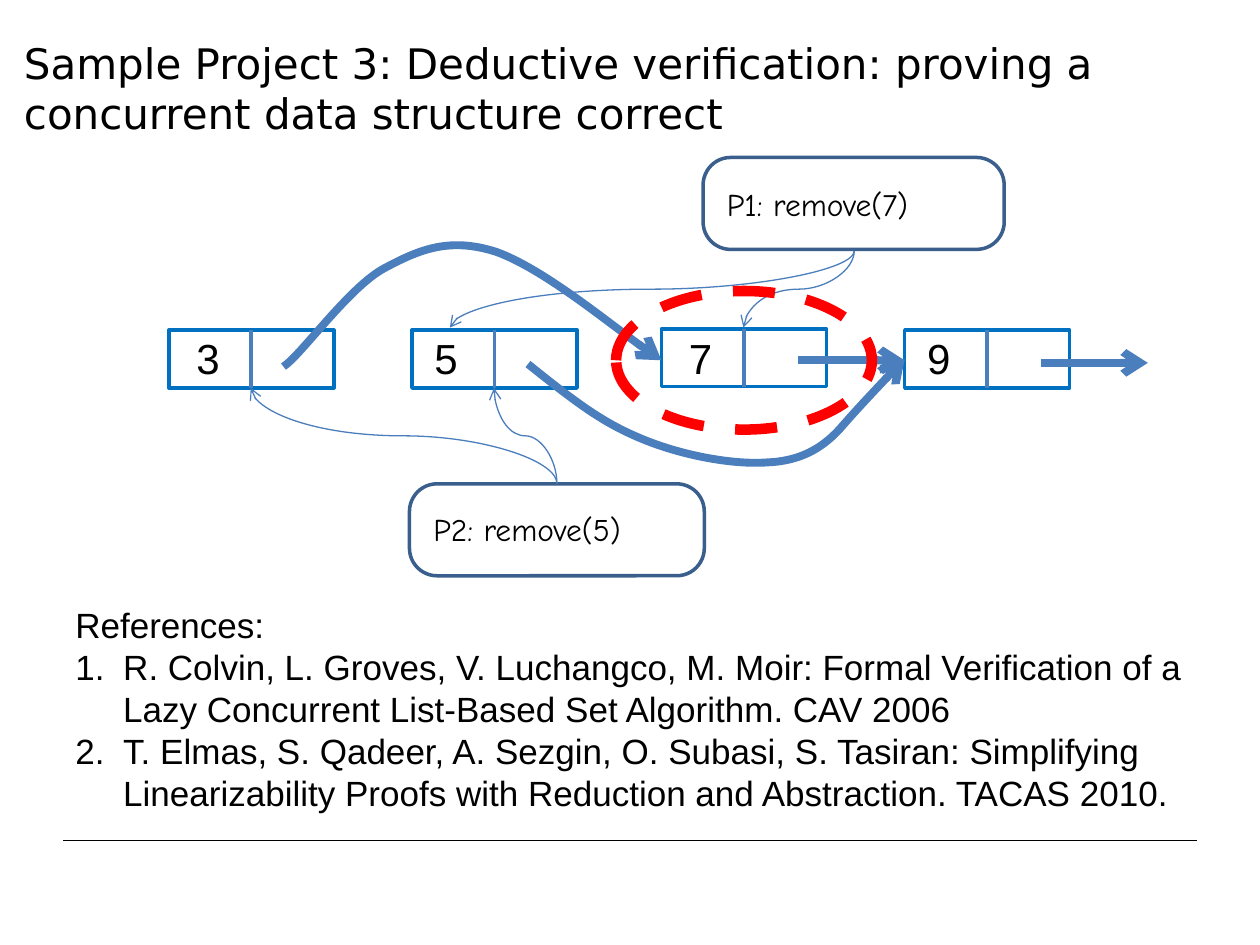
from lxml.etree import SubElement
from pptx import Presentation
from pptx.dml.color import RGBColor
from pptx.enum.dml import MSO_LINE
from pptx.enum.shapes import MSO_CONNECTOR as CONNECTOR, MSO_SHAPE as SHAPE
from pptx.enum.text import MSO_ANCHOR, MSO_AUTO_SIZE, PP_ALIGN
from pptx.oxml.ns import qn
from pptx.util import Inches, Pt

BLUE = "4B7EBC"


def style_line(shape, color, width, arrow=False):
    """Outline a shape or connector, without shadow."""
    shape.line.color.rgb = RGBColor.from_string(color)
    shape.line.width = Pt(width)
    if arrow:
        SubElement(shape.line._ln, qn("a:tailEnd"), type="arrow")
    SubElement(shape._element.spPr, qn("a:effectLst"))


def write(shape, lines, font, size):
    """Fill a text frame with left-aligned black paragraphs."""
    frame = shape.text_frame
    frame.text = "\n".join(lines)
    for paragraph in frame.paragraphs:
        paragraph.alignment = PP_ALIGN.LEFT
        format_values = {"name": font, "size": Pt(size)}
        for run in paragraph.runs:
            for name, value in format_values.items():
                setattr(run.font, name, value)
            run.font.color.rgb = RGBColor.from_string("000000")
    return frame


presentation = Presentation()
presentation.slide_width, presentation.slide_height = Inches(10), Inches(7.5)
slide = presentation.slides.add_slide(presentation.slide_layouts[5])
shapes = slide.shapes

# Title
title = shapes.title
title.left, title.top, title.width, title.height = map(Inches, (0.09, 0.01, 9, 1.37))
title_frame = write(title, ["Sample Project 3: Deductive verification: "
                            "proving a concurrent data structure correct"],
                    "DejaVu Sans", 24)
title_frame.vertical_anchor = MSO_ANCHOR.MIDDLE
title_frame.auto_size = MSO_AUTO_SIZE.NONE

# References
references = shapes.add_textbox(*map(Inches, (0.5, 4.74, 9, 1.78)))
references_frame = write(references, [
    "References:",
    "R. Colvin, L. Groves, V. Luchangco, M. Moir: Formal Verification of a "
    "Lazy Concurrent List-Based Set Algorithm. CAV 2006",
    "T. Elmas, S. Qadeer, A. Sezgin, O. Subasi, S. Tasiran: Simplifying "
    "Linearizability Proofs with Reduction and Abstraction. TACAS 2010.",
], "Arial", 20)
references_frame.word_wrap = True
for index, paragraph in enumerate(references_frame.paragraphs):
    properties = paragraph._p.get_or_add_pPr()
    properties.set("marL", str(Inches(0.38)))
    properties.set("indent", str(Inches(-0.38)))
    if index:
        SubElement(properties, qn("a:buAutoNum"), type="arabicPeriod")

# List nodes: value, left, top, left of the value
NODE_WIDTH, NODE_HEIGHT = 1.31, 0.46
nodes = [("3", 1.34, 2.62, 1.46), ("5", 3.27, 2.62, 3.35),
         ("7", 5.25, 2.61, 5.37), ("9", 7.18, 2.62, 7.26)]
for value, left, top, text_left in nodes:
    node = shapes.add_shape(SHAPE.RECTANGLE, *map(Inches, (left, top, NODE_WIDTH, NODE_HEIGHT)))
    node.fill.background()
    style_line(node, "0070C0", 2)
    middle = left + NODE_WIDTH / 2
    divider = shapes.add_connector(CONNECTOR.STRAIGHT, *map(
        Inches, (middle, top, middle, top + NODE_HEIGHT)))
    style_line(divider, BLUE, 2.25)
    label = shapes.add_textbox(*map(Inches, (text_left, 2.59, 0.43, 0.51)))
    write(label, [value], "Arial", 24)

# Straight next pointers
for left, y in [(6.33, 2.86), (8.26, 2.88)]:
    pointer = shapes.add_connector(CONNECTOR.STRAIGHT, *map(Inches, (left, y, left + 0.85, y)))
    style_line(pointer, BLUE, 4.5, arrow=True)

# Processes: text, left, top, width, text left, text top
processes = [("P1: remove(7)", 5.58, 1.25, 2.39, 5.67, 1.42),
             ("P2: remove(5)", 3.25, 3.84, 2.34, 3.34, 4)]
for text, left, top, width, text_left, text_top in processes:
    process = shapes.add_shape(SHAPE.ROUNDED_RECTANGLE, *map(Inches, (left, top, width, 0.73)))
    process.adjustments[0] = 0.3
    process.fill.background()
    style_line(process, "3A5F8C", 2)
    label = shapes.add_textbox(*map(Inches, (text_left, text_top, 2.32, 0.4)))
    write(label, [text], "Comic Neue", 18).word_wrap = True

# Curved links from the processes to the nodes; each is a quarter turn of a horizontal curve
links = [(6.78, 1.99, 3.57, 2.6), (6.78, 1.99, 5.9, 2.6),
         (4.42, 3.84, 3.92, 3.08), (4.42, 3.84, 1.99, 3.08)]
for x1, y1, x2, y2 in links:
    center_x, center_y = (x1 + x2) / 2, (y1 + y2) / 2
    half_width = abs(y2 - y1) / 2
    down = 1 if y2 > y1 else -1
    half_height = down * (x1 - x2) / 2
    link = shapes.add_connector(CONNECTOR.CURVE, *map(Inches, (
        center_x - half_width, center_y - half_height,
        center_x + half_width, center_y + half_height)))
    link._element.spPr.find(qn("a:xfrm")).set("rot", str((90 if down > 0 else 270) * 60000))
    style_line(link, BLUE, 0.75, arrow=True)

# Bypassing pointers: start point, then three Bezier points per segment
bypasses = [
    [(2.25, 2.91), (2.39, 2.82), (2.77, 2.28), (3.05, 2.13), (3.33, 1.98),
     (3.57, 1.88), (3.94, 2), (4.3, 2.13), (5.03, 2.72), (5.25, 2.86)],
    [(4.19, 2.89), (4.59, 3.21), (4.79, 3.36), (5.11, 3.49), (5.43, 3.62),
     (5.83, 3.69), (6.09, 3.67), (6.35, 3.66), (6.52, 3.56), (6.66, 3.41),
     (6.79, 3.26), (7.09, 2.94), (7.18, 2.85)],
]
for points in bypasses:
    start, *rest = [(Inches(x), Inches(y)) for x, y in points]
    builder = shapes.build_freeform(*start)
    builder.add_line_segments(rest, close=False)
    bypass = builder.convert_to_shape()
    outline = bypass._element.spPr.find(".//" + qn("a:path"))
    segments = outline.findall(qn("a:lnTo"))
    for index in range(0, len(segments), 3):
        curve = SubElement(outline, qn("a:cubicBezTo"))
        for segment in segments[index:index + 3]:
            curve.append(segment[0])
            outline.remove(segment)
    bypass.fill.background()
    style_line(bypass, BLUE, 4.5, arrow=True)

# Highlight of the removed node
highlight = shapes.add_shape(SHAPE.OVAL, *map(Inches, (4.89, 2.31, 2.03, 1.1)))
highlight.fill.background()
style_line(highlight, "FF0000", 6)
highlight.line.dash_style = MSO_LINE.DASH

# Footer rule
footer_rule = shapes.add_connector(CONNECTOR.STRAIGHT, *map(Inches, (0.5, 6.67, 9.5, 6.67)))
style_line(footer_rule, "000000", 0.5)

presentation.save("out.pptx")
